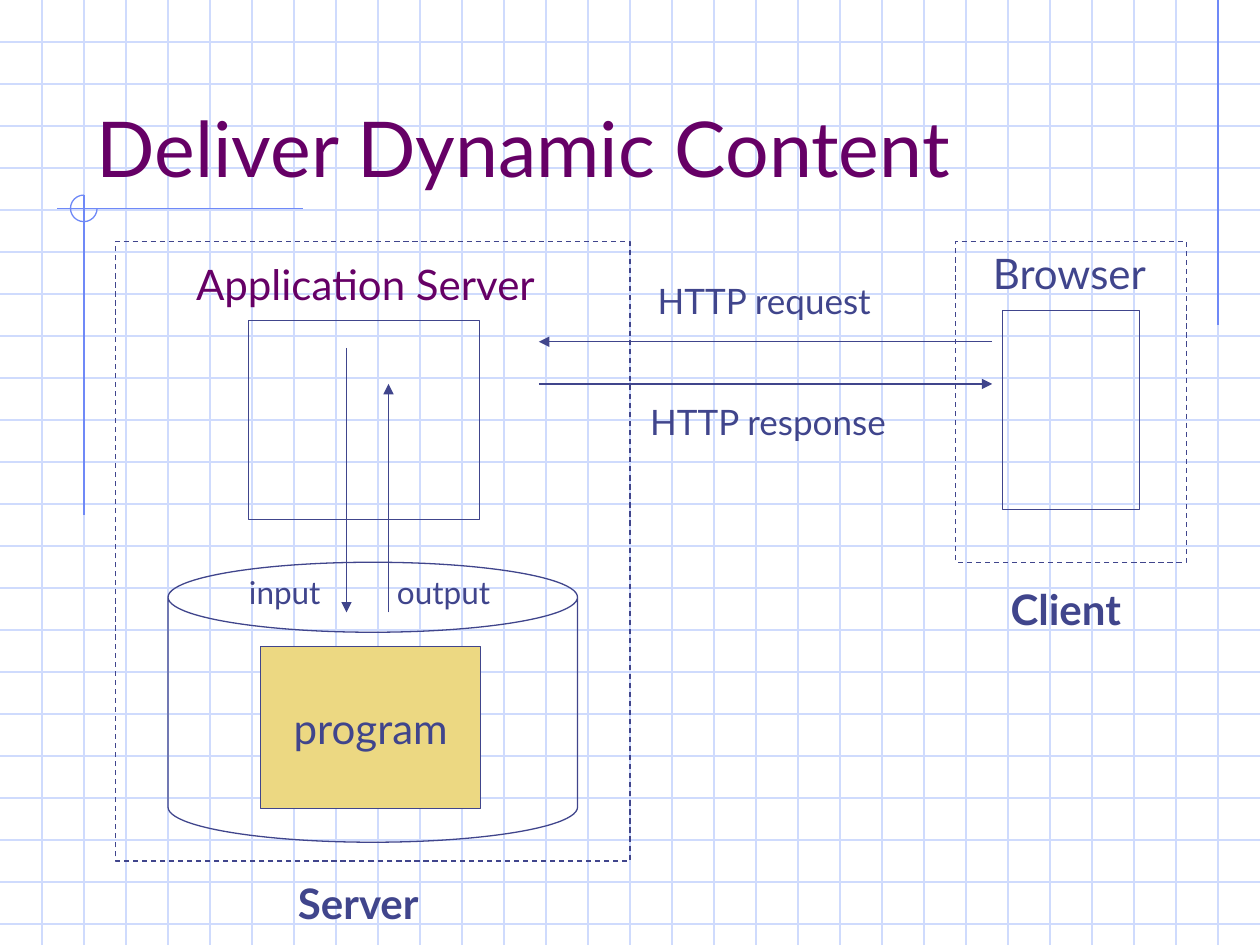
from dataclasses import dataclass

import lxml.etree
import pptx
import pptx.dml.color
import pptx.enum.dml
import pptx.enum.shapes
import pptx.enum.text
import pptx.oxml.ns
import pptx.util

Pt = pptx.util.Pt
Preset = pptx.enum.shapes.MSO_SHAPE
Align = pptx.enum.text.PP_ALIGN
Anchor = pptx.enum.text.MSO_ANCHOR

FONT = "Lato"
INK = "40458C"
PLUM = "660066"
GRID = "CFDBFD"
ACCENT = "6F89F7"
GOLD = "ECD882"
WIDTH, HEIGHT, STEP = 720, 540, 24


@dataclass
class Box:
    left: float
    top: float
    width: float
    height: float
    preset: Preset = Preset.RECTANGLE
    fill: str = ""
    dashed: bool = False
    line: str = INK


@dataclass
class Line:
    x1: float
    y1: float
    x2: float
    y2: float
    color: str = INK
    arrow: bool = False


@dataclass
class Label:
    text: str
    left: float
    top: float
    width: float
    height: float
    size: float
    color: str = INK
    bold: bool = False


def rgb(color: str) -> pptx.dml.color.RGBColor:
    return pptx.dml.color.RGBColor.from_string(color)


def write(frame, text: str, size: float, color: str, bold=False, align=Align.LEFT) -> None:
    paragraph = frame.paragraphs[0]
    paragraph.alignment = align
    run = paragraph.add_run()
    run.text = text
    run.font.name = FONT
    run.font.size = Pt(size)
    run.font.bold = bold
    run.font.color.rgb = rgb(color)


def draw_box(slide, box: Box):
    shape = slide.shapes.add_shape(
        box.preset, Pt(box.left), Pt(box.top), Pt(box.width), Pt(box.height)
    )
    shape.shadow.inherit = False
    if box.fill:
        shape.fill.solid()
        shape.fill.fore_color.rgb = rgb(box.fill)
    else:
        shape.fill.background()
    shape.line.color.rgb = rgb(box.line)
    shape.line.width = Pt(0.75)
    if box.dashed:
        shape.line.dash_style = pptx.enum.dml.MSO_LINE.DASH
    return shape


def draw_line(slide, line: Line) -> None:
    connector = slide.shapes.add_connector(
        pptx.enum.shapes.MSO_CONNECTOR.STRAIGHT,
        Pt(line.x1), Pt(line.y1), Pt(line.x2), Pt(line.y2),
    )
    connector.line.color.rgb = rgb(line.color)
    connector.line.width = Pt(0.75)
    properties = connector.element.spPr
    if line.arrow:
        outline = properties.find(pptx.oxml.ns.qn("a:ln"))
        lxml.etree.SubElement(outline, pptx.oxml.ns.qn("a:tailEnd"), type="triangle")
    lxml.etree.SubElement(properties, pptx.oxml.ns.qn("a:effectLst"))


def draw_label(slide, label: Label) -> None:
    shape = slide.shapes.add_textbox(
        Pt(label.left), Pt(label.top), Pt(label.width), Pt(label.height)
    )
    shape.text_frame.word_wrap = False
    write(shape.text_frame, label.text, label.size, label.color, label.bold)


def draw_background(slide) -> None:
    for y in range(STEP, HEIGHT, STEP):
        draw_line(slide, Line(0, y, WIDTH, y, GRID))
    for x in range(STEP, WIDTH, STEP):
        draw_line(slide, Line(x, 0, x, HEIGHT, GRID))
    draw_line(slide, Line(696, 0, 696, 186, ACCENT))
    draw_line(slide, Line(173, 119.3, 32.5, 119.3, ACCENT))
    draw_line(slide, Line(48, 111.5, 48, 294.5, ACCENT))
    arc = draw_box(slide, Box(40.3, 111.5, 15.2, 15.2, Preset.ARC, line=ACCENT))
    arc.adjustments[0] = 0
    arc.adjustments[1] = 162


def place_title(slide, text: str) -> None:
    title = slide.shapes.title
    title.left, title.top, title.width, title.height = Pt(48), Pt(24), Pt(612), Pt(90)
    frame = title.text_frame
    frame.auto_size = pptx.enum.text.MSO_AUTO_SIZE.NONE
    frame.vertical_anchor = Anchor.BOTTOM
    write(frame, text, 44, PLUM)
    slide.shapes.element.append(title.element)


BOXES = [
    Box(573, 177.4, 78, 113.7),
    Box(142, 183, 132, 114),
    Box(96, 321.3, 234, 160, Preset.CAN),
    Box(66, 138, 294, 354, dashed=True),
    Box(546, 138, 132, 183.4, dashed=True),
]
ARROWS = [
    Line(567, 195.3, 308, 195.3, arrow=True),
    Line(308, 219.4, 567, 219.4, arrow=True),
    Line(198, 198.8, 198, 350, arrow=True),
    Line(222, 350, 222, 219.4, arrow=True),
]
LABELS = [
    Label("Browser", 560.3, 138, 108, 36, 24),
    Label("Application Server", 105, 144.3, 219, 36, 24, PLUM),
    Label("HTTP request", 368.8, 156.2, 141, 31.5, 20),
    Label("HTTP response", 364.5, 225.3, 155.5, 31.5, 20),
    Label("Server", 163.2, 497.8, 91.5, 36, 24, bold=True),
    Label("Client", 570.4, 329.8, 84, 36, 24, bold=True),
    Label("input", 135.2, 324, 58.5, 29, 18),
    Label("output", 219.8, 324, 71.5, 29, 18),
]


def main() -> None:
    presentation = pptx.Presentation()
    presentation.slide_width, presentation.slide_height = Pt(WIDTH), Pt(HEIGHT)
    slide = presentation.slides.add_slide(presentation.slide_layouts[5])
    draw_background(slide)
    place_title(slide, "Deliver Dynamic Content")
    for box in BOXES:
        draw_box(slide, box)
    for arrow in ARROWS:
        draw_line(slide, arrow)
    program = draw_box(slide, Box(148.8, 369.3, 126, 92.6, fill=GOLD))
    program.text_frame.word_wrap = False
    program.text_frame.vertical_anchor = Anchor.MIDDLE
    write(program.text_frame, "program", 24, INK, align=Align.CENTER)
    for label in LABELS:
        draw_label(slide, label)
    presentation.save("out.pptx")


if __name__ == "__main__":
    main()
